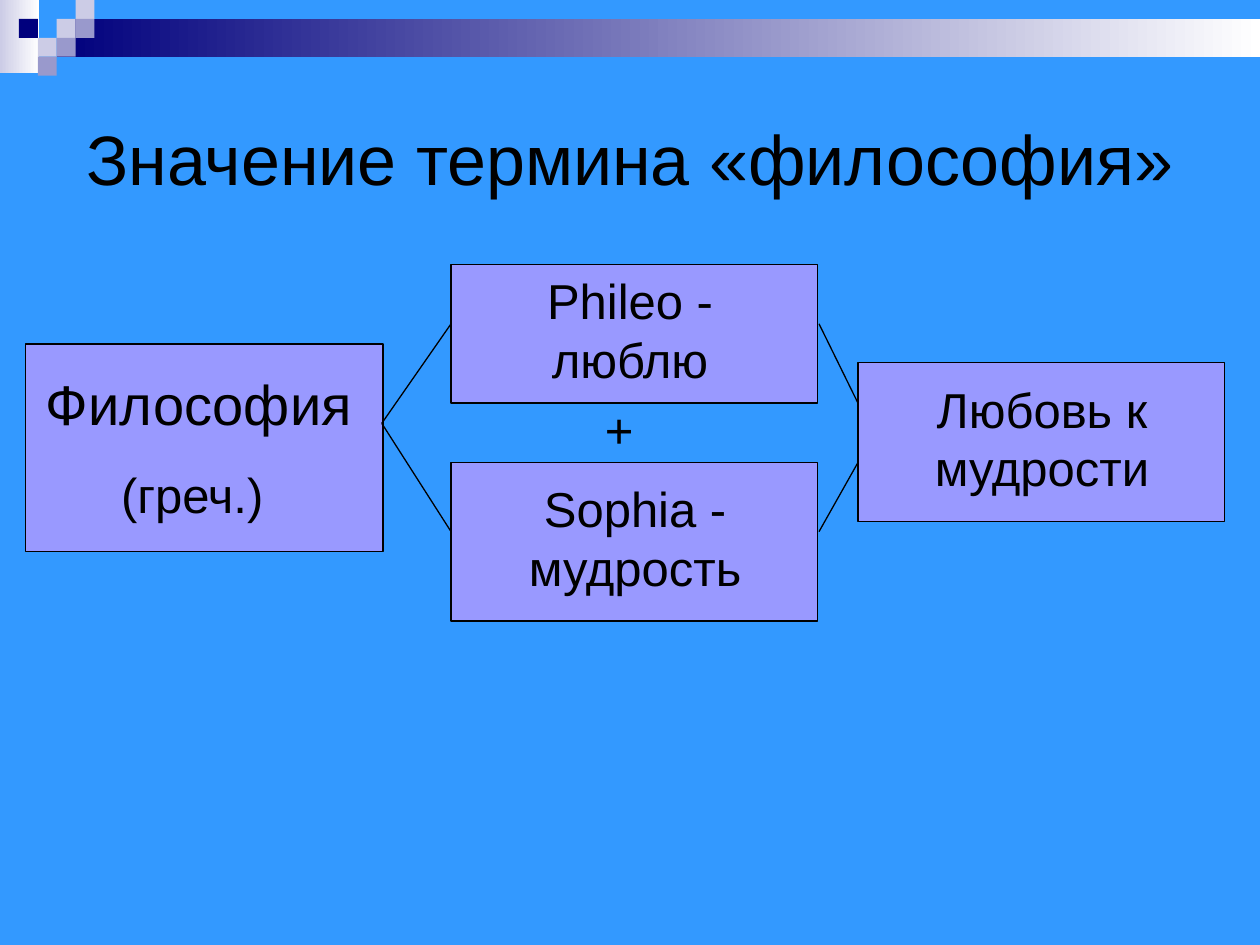
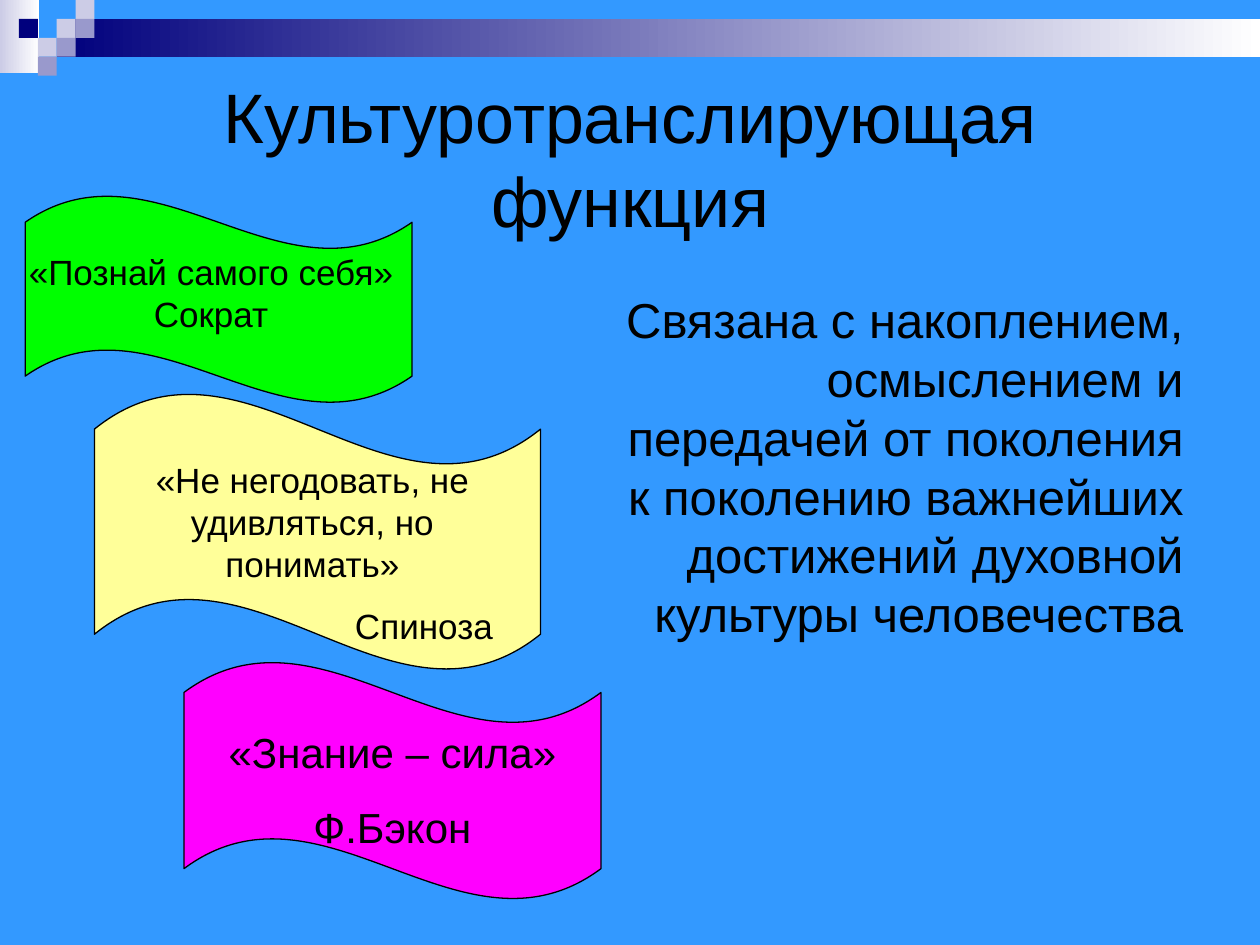
from lxml.etree import SubElement
from pptx import Presentation
from pptx.dml.color import RGBColor
from pptx.enum.shapes import MSO_CONNECTOR, MSO_SHAPE
from pptx.enum.text import MSO_ANCHOR, PP_ALIGN
from pptx.oxml.ns import qn
from pptx.util import Inches, Pt

COLORS = {
    "background": "3399FF",
    "ink": "000000",
    "navy": "00007D",
    "pale": "CCCCE6",
    "lavender": "9999CC",
    "white": "FFFFFF",
    "box": "9999FF",
    "green": "00FF00",
    "yellow": "FFFF99",
    "magenta": "FF00FF",
}
FONT = "Arial"
SQUARE = 0.15


def add_filled(shapes, kind, area, *colors, outlined=False):
    """Add a preset shape; two colours make a left-to-right gradient."""
    shape = shapes.add_shape(kind, *map(Inches, area))
    shape.shadow.inherit = False
    if len(colors) == 1:
        shape.fill.solid()
        shape.fill.fore_color.rgb = RGBColor.from_string(COLORS[colors[0]])
    else:
        shape.fill.gradient()
        shape.fill.gradient_angle = 0
        for stop, color in zip(shape.fill.gradient_stops, colors):
            stop.color.rgb = RGBColor.from_string(COLORS[color])
    if outlined:
        shape.line.color.rgb = RGBColor.from_string(COLORS["ink"])
        shape.line.width = Pt(0.75)
    else:
        shape.line.fill.background()
    return shape


def add_text(slide, area, lines, align=PP_ALIGN.CENTER, anchor=MSO_ANCHOR.TOP):
    """Add a text box; lines holds one (text, size) pair per paragraph."""
    frame = slide.shapes.add_textbox(*map(Inches, area)).text_frame
    frame.word_wrap = True
    frame.vertical_anchor = anchor
    for index, (text, size) in enumerate(lines):
        paragraph = frame.add_paragraph() if index else frame.paragraphs[0]
        paragraph.text = text
        paragraph.alignment = align
        paragraph.font.name = FONT
        paragraph.font.size = Pt(size)
        paragraph.font.color.rgb = RGBColor.from_string(COLORS["ink"])
        if index:
            paragraph.space_before = Pt(size * 0.57)  # half a line
    return frame


presentation = Presentation()
presentation.slide_width = Inches(10)
presentation.slide_height = Inches(7.5)
background = presentation.slide_master.background.fill
background.solid()
background.fore_color.rgb = RGBColor.from_string(COLORS["background"])

# Shared band, checkered corner and title
slides = []
for title in ["Значение термина «философия»", "Культуротранслирующая функция"]:
    slide = presentation.slides.add_slide(presentation.slide_layouts[6])
    band = slide.shapes.add_group_shape().shapes
    add_filled(band, MSO_SHAPE.RECTANGLE, (0, 0, 0.31, 0.58), "pale", "white")
    add_filled(band, MSO_SHAPE.RECTANGLE, (0.45, 0.15, 9.55, 0.3), "navy", "white")
    squares = [(1, 1, "navy")]
    for diagonal, color in [(4, "pale"), (5, "lavender")]:
        squares += [(column, diagonal - column, color) for column in (2, 3, 4)]
    for column, row, color in squares:
        area = (column * SQUARE, row * SQUARE, SQUARE, SQUARE)
        add_filled(band, MSO_SHAPE.RECTANGLE, area, color)
    add_text(slide, (0.5, 0.5, 9, 1.5), [(title, 40)], anchor=MSO_ANCHOR.MIDDLE)
    slides.append(slide)
term_slide, function_slide = slides

# Slide 1: the parts of the term
term_boxes = [
    ((0.2, 2.73, 2.84, 1.65), (0.2, 2.88, 2.76, 1.34), [("Философия", 32), ("(греч.) ", 28)]),
    ((3.58, 2.1, 2.91, 1.1), (3.74, 2.1, 2.52, 1.03), [("Phileo - люблю", 28)]),
    ((3.58, 3.67, 2.91, 1.26), (3.74, 3.75, 2.6, 1.03), [("Sophia - мудрость", 28)]),
    ((6.81, 2.88, 2.91, 1.26), (6.97, 2.96, 2.6, 1.03), [("Любовь к мудрости", 28)]),
]
for box_area, text_area, lines in term_boxes:
    add_filled(term_slide.shapes, MSO_SHAPE.RECTANGLE, box_area, "box", outlined=True)
    add_text(term_slide, text_area, lines)
add_text(term_slide, (4.13, 3.12, 1.57, 0.57), [("+", 28)])

for root_y, meaning_y in [(2.57, 3.2), (4.22, 3.67)]:
    for ends in [(3.03, 3.36, 3.58, root_y), (6.5, root_y, 6.81, meaning_y)]:
        connector = term_slide.shapes.add_connector(
            MSO_CONNECTOR.STRAIGHT, *map(Inches, ends)
        )
        connector.line.color.rgb = RGBColor.from_string(COLORS["ink"])
        connector.line.width = Pt(0.75)
        SubElement(connector._element.spPr, qn("a:effectLst"))

# Slide 2: the function and three sayings on waves
add_text(
    function_slide,
    (4.84, 2.25, 4.65, 3.37),
    [("Связана с накоплением, осмыслением и передачей от поколения к поколению "
      "важнейших достижений духовной культуры человечества", 28)],
    align=PP_ALIGN.RIGHT,
)
sayings = [
    ((0.2, 1.55, 3.07, 1.65), "green", (0, 1.94, 3.35, 0.77),
     [("«Познай самого себя» Сократ", 20)], 0),
    ((0.75, 3.12, 3.54, 2.2), "yellow", (0.75, 3.59, 3.46, 1.6),
     [("«Не негодовать, не удивляться, но понимать»", 20), ("Спиноза", 20)], 1.77),
    ((1.46, 5.25, 3.31, 1.89), "magenta", (1.46, 5.72, 3.31, 1.1),
     [("«Знание – сила»", 24), ("Ф.Бэкон", 24)], 0),
]
for wave_area, color, text_area, lines, author_indent in sayings:
    wave = add_filled(function_slide.shapes, MSO_SHAPE.WAVE, wave_area, color, outlined=True)
    wave.adjustments[0] = 0.13
    frame = add_text(function_slide, text_area, lines)
    if author_indent:
        properties = frame.paragraphs[-1]._p.get_or_add_pPr()
        properties.set("marL", str(Inches(author_indent)))
        properties.set("indent", "0")

presentation.save("out.pptx")
